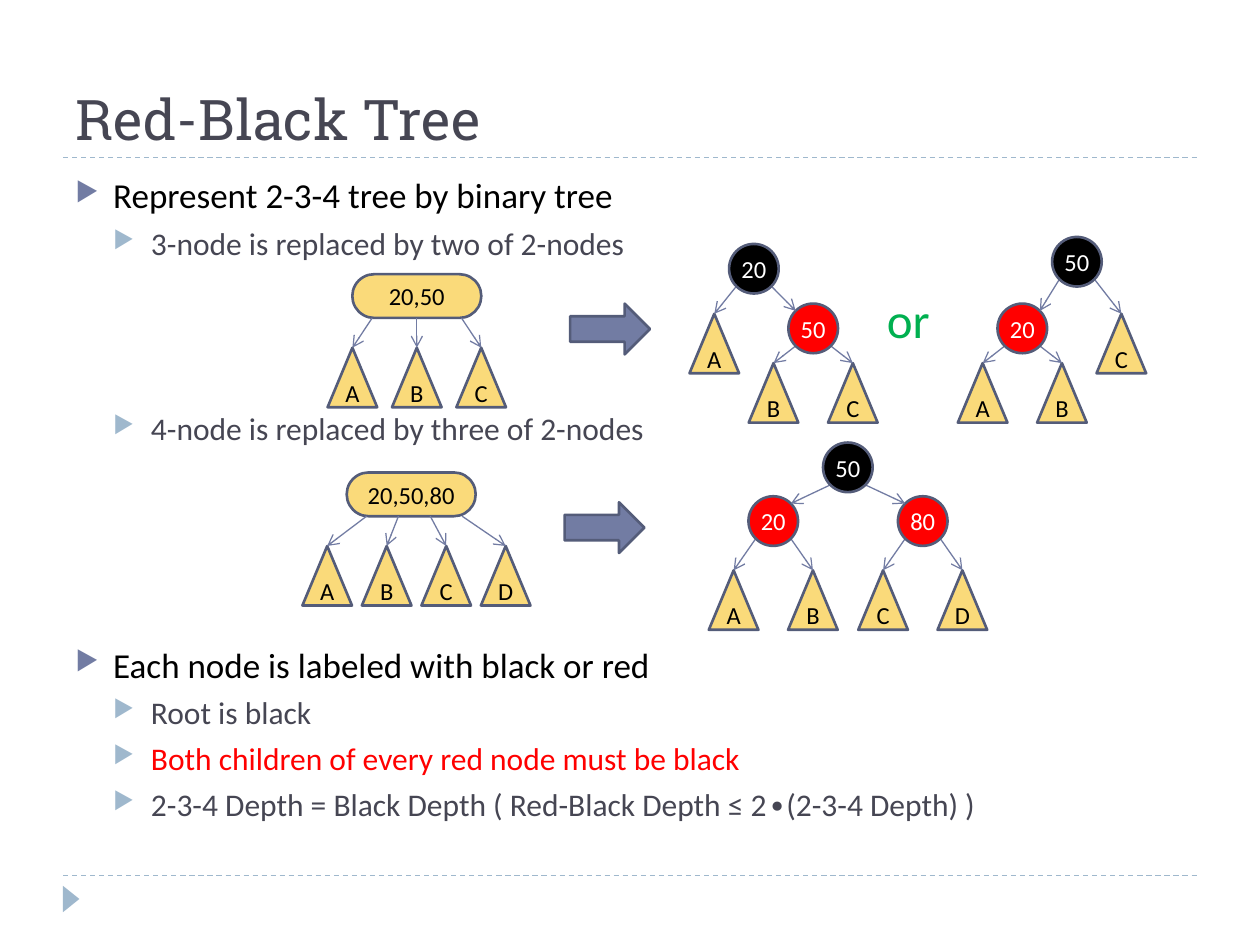
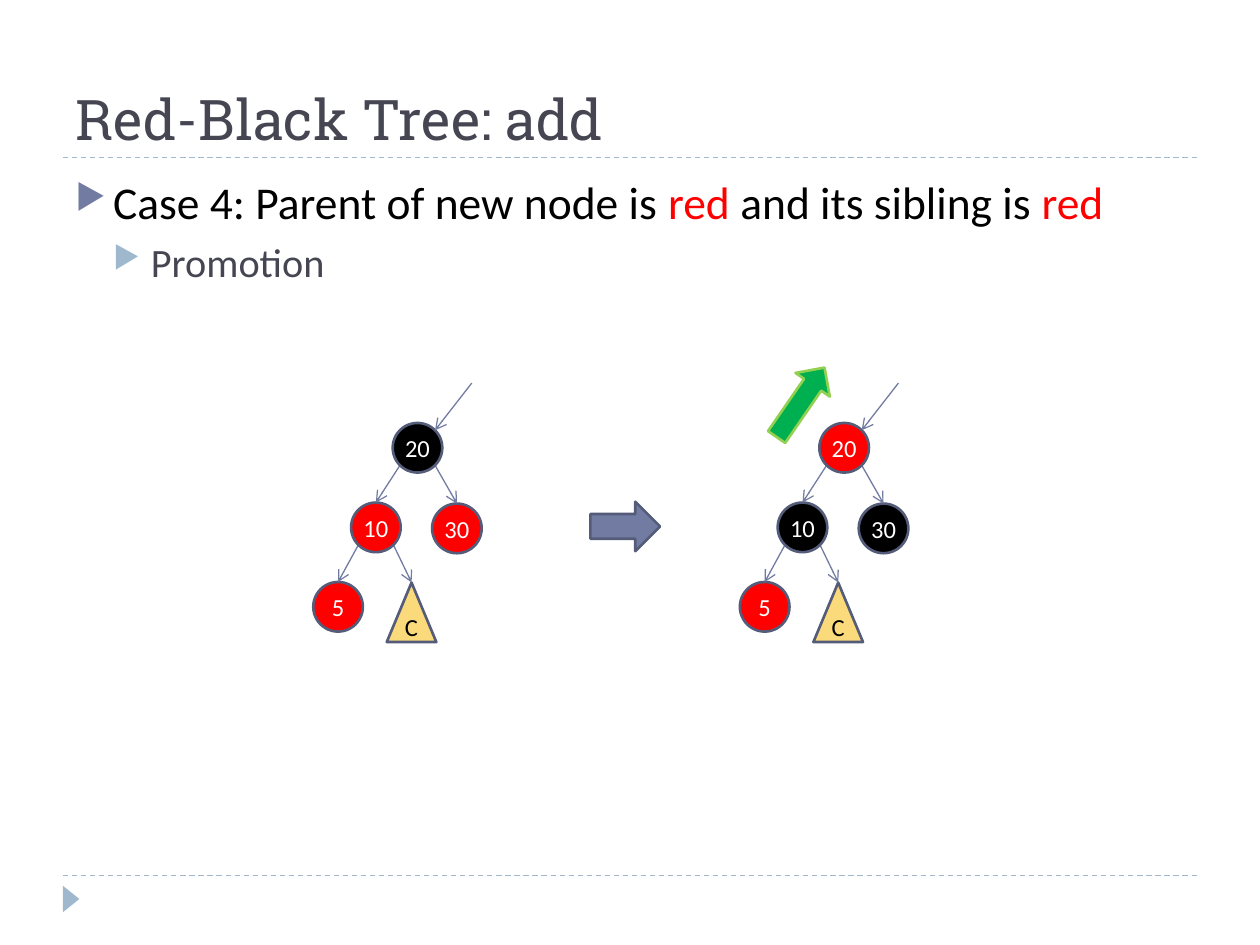
from lxml.etree import SubElement
from pptx import Presentation
from pptx.dml.color import RGBColor
from pptx.enum.dml import MSO_LINE
from pptx.enum.shapes import MSO_CONNECTOR, MSO_SHAPE
from pptx.enum.text import MSO_ANCHOR, PP_ALIGN
from pptx.oxml.ns import qn
from pptx.util import Pt

# Shared look
BLACK, WHITE, RED, GREEN = "000000", "FFFFFF", "FF0000", "00B050"
INK, SLATE, EDGE, PALE, GOLD = "464653", "727CA3", "545C79", "9FB8CD", "FADA7A"
LIME = "92D050"
BODY, HEAD = "Calibri", "Roboto Slab"
SIZE = 28.35          # width of circles and triangles
TALL = 34             # height of triangles
PILL = (73.7, 25)
LEVELS = [            # bullet levels: indent, bullet colour, text colour, gap
    dict(left=21.6, mark=SLATE, ink=BLACK, gap=6),
    dict(left=43.2, mark=PALE, ink=INK, gap=4.6),
]


def hue(code):
    return RGBColor.from_string(code)


def apply(item, values):
    for name, value in values.items():
        setattr(item, name, value)


# Text
def add_run(para, text, size, color, face=BODY):
    run = para.add_run()
    run.text = text
    apply(run.font, dict(size=Pt(size), name=face))
    run.font.color.rgb = hue(color)


def add_text(slide, box, **frame):
    text = slide.shapes.add_textbox(*map(Pt, box)).text_frame
    apply(text, dict(word_wrap=True) | frame)
    return text


def add_mark(para, level):
    props = para._p.get_or_add_pPr()
    left = Pt(level["left"])
    props.set("marL", str(left))
    props.set("indent", str(-Pt(21.6)))
    paint = SubElement(props, qn("a:buClr"))
    SubElement(paint, qn("a:srgbClr"), val=level["mark"])
    SubElement(props, qn("a:buSzPct"), val="76000")
    SubElement(props, qn("a:buChar"), char="▶")


def add_list(slide, rows):
    """Each row: level, size, gap before (None for the usual), runs."""
    text = add_text(slide, (36, 95.8, 648, 388.8))
    for i, (depth, size, gap, runs) in enumerate(rows):
        para = text.add_paragraph() if i else text.paragraphs[0]
        level = LEVELS[depth]
        para.space_before = Pt(gap or level["gap"])
        add_mark(para, level)
        for words, color in runs:
            add_run(para, words, size, color or level["ink"])


# Shapes and lines
def add_form(slide, kind, box, fill, edge=EDGE, turn=0):
    form = slide.shapes.add_shape(kind, *map(Pt, box))
    form.shadow.inherit = False
    form.rotation = turn
    form.fill.solid()
    form.fill.fore_color.rgb = hue(fill)
    if edge:
        form.line.color.rgb = hue(edge)
        form.line.width = Pt(1.5)
    else:
        form.line.fill.background()
    return form


def add_label(form, text, color, **frame):
    body = form.text_frame
    apply(body, dict(vertical_anchor=MSO_ANCHOR.MIDDLE) | frame)
    para = body.paragraphs[0]
    para.alignment = PP_ALIGN.CENTER
    add_run(para, text, 14, color)


def add_line(slide, start, end, color=SLATE):
    line = slide.shapes.add_connector(
        MSO_CONNECTOR.STRAIGHT, *map(Pt, (*start, *end)))
    line.line.color.rgb = hue(color)
    line.line.width = Pt(0.75)
    SubElement(line._element.spPr, qn("a:effectLst"))
    return line


def add_link(slide, start, end):
    link = add_line(slide, start, end)
    SubElement(link.line._get_or_add_ln(), qn("a:tailEnd"), type="arrow")
    return link


def add_leaf(slide, label, mid, top):
    leaf = add_form(slide, MSO_SHAPE.ISOSCELES_TRIANGLE,
                    (mid - SIZE / 2, top, SIZE, TALL), GOLD)
    add_label(leaf, label, BLACK)
    return leaf


def add_ball(slide, label, mid, top, fill):
    ball = add_form(slide, MSO_SHAPE.OVAL,
                    (mid - SIZE / 2, top, SIZE, SIZE), fill)
    add_label(ball, label, WHITE, margin_left=0, margin_right=0,
              margin_top=0, margin_bottom=0)
    return ball


# Trees
def rim(mid, top, side, drop):
    """Point on a circle at 45 degrees: side -1 left, drop -1 upper."""
    reach = SIZE / 2 * 0.707
    return mid + side * reach, top + SIZE / 2 + drop * reach


def add_tree(slide, node, mid, top, inward):
    """Node: label, fill (None for a leaf), kids as (dx, dy, node)."""
    label, fill, kids = node
    if fill is None:
        return add_leaf(slide, label, mid, top)
    for dx, dy, kid in kids:
        x, y, side = mid + dx, top + dy, 1 if dx > 0 else -1
        child = add_tree(slide, kid, x, y, inward)
        start = rim(mid, top, side, 1)
        if inward and kid[1]:
            add_link(slide, start, rim(x, y, -side, -1))
        else:
            add_link(slide, start, (x, y)).end_connect(child, 0)
    return add_ball(slide, label, mid, top, fill)


def leaf(label):
    return label, None, []


def pair(label, fill, left, right, drop):
    return label, fill, [(-22.65, drop, leaf(left)), (22.65, drop, leaf(right))]


def add_wide(slide, label, mid, top, names, first, step, port, shift=0):
    """Multi-key node with a row of leaves; port is the gap of link starts."""
    wide, high = PILL
    pill = add_form(slide, MSO_SHAPE.ROUNDED_RECTANGLE,
                    (mid - wide / 2, top, wide, high), GOLD)
    pill.adjustments[0] = 0.5
    add_label(pill, label, BLACK)
    for i, name in enumerate(names):
        x = first + i * step
        child = add_leaf(slide, name, x, top + 42)
        start = mid + shift + (i - (len(names) - 1) / 2) * port
        link = add_link(slide, (start, top + high), (x, top + 42))
        if start == mid:
            link.begin_connect(pill, 2)
        link.end_connect(child, 0)


def add_arrow(slide, box, fill=SLATE, edge=EDGE, turn=0):
    add_form(slide, MSO_SHAPE.RIGHT_ARROW, box, fill, edge, turn)


# Slides
def add_page(deck, title):
    slide = deck.slides.add_slide(deck.slide_layouts[6])
    for y in (500.4, 90):
        rule = add_line(slide, (36, y), (684, y), PALE)
        rule.line.dash_style = MSO_LINE.DASH
    add_form(slide, MSO_SHAPE.ISOSCELES_TRIANGLE,
             (33.1, 509, 15.1, 9.4), PALE, None, 90)
    text = add_text(slide, (36, 12.2, 648, 77.8),
                    vertical_anchor=MSO_ANCHOR.BOTTOM)
    add_run(text.paragraphs[0], title, 32, INK, HEAD)
    return slide


def add_rules(deck):
    slide = add_page(deck, "Red-Black Tree")
    add_list(slide, [
        (0, 20, None, [("Represent 2-3-4 tree by binary tree", None)]),
        (1, 18, None, [("3-node is replaced by two of 2-nodes", None)]),
        (1, 18, 84.3, [("4-node is replaced by three of 2-nodes", None)]),
        (0, 20, 112, [("Each node is labeled with black or red", None)]),
        (1, 18, None, [("Root is black", None)]),
        (1, 18, None, [("Both children of every red node must be black", RED)]),
        (1, 18, None, [("2-3-4 Depth = Black Depth ( Red-Black Depth ≤ "
                        "2∙(2-3-4 Depth) )", None)]),
    ])
    # 3-node and its two forms
    add_wide(slide, "20,50", 238.2, 156.7, "ABC", 201.4, 36.8, 25.5)
    add_arrow(slide, (325.8, 173.5, 45.6, 29))
    first = ("20", BLACK, [(-22.6, 39.9, leaf("A")),
                           (33.9, 34.1, pair("50", RED, "B", "C", 34))])
    other = ("50", BLACK, [(-31.2, 38.1, pair("20", RED, "A", "B", 34)),
                           (25.4, 43.9, leaf("C"))])
    add_tree(slide, first, 430.8, 139.4, True)
    add_tree(slide, other, 615.4, 135.4, True)
    text = add_text(slide, (499.7, 162, 41.8, 41), word_wrap=False)
    add_run(text.paragraphs[0], "or", 28, GREEN)
    # 4-node and its form
    add_wide(slide, "20,50,80", 235, 270, "ABCD", 187, 34, 18.2, 1.8)
    add_arrow(slide, (322.6, 287, 45.6, 29))
    full = ("50", BLACK, [(-42.6, 30.7, pair("20", RED, "A", "B", 42.3)),
                          (42.8, 30.7, pair("80", RED, "C", "D", 42.3))])
    add_tree(slide, full, 484.5, 252.9, True)


def add_case(deck):
    slide = add_page(deck, "Red-Black Tree: add")
    add_list(slide, [
        (0, 26, None, [("Case 4: Parent of new node is ", None), ("red", RED),
                       (" and its sibling is ", None), ("red", RED)]),
        (1, 23, 5, [("Promotion", None)]),
    ])
    # Before and after: root and kids swap colours
    for mid, root, kid in ((238.6, BLACK, RED), (482.4, RED, BLACK)):
        ten = ("10", kid, [(-21.6, 45.4, ("5", RED, [])),
                           (20.4, 45.7, leaf("C"))])
        tree = ("20", root, [(-23.8, 45.5, ten),
                             (22.5, 46.1, ("30", kid, []))])
        add_tree(slide, tree, mid, 241.7, False)
        add_link(slide, (mid + 31, 218.9), rim(mid, 241.7, 1, -1))
    add_arrow(slide, (337.4, 286.7, 39.8, 28.3))
    add_arrow(slide, (433.4, 218, 48.2, 23.8), GREEN, LIME, 304.6)


def main():
    deck = Presentation()
    apply(deck, dict(slide_width=Pt(720), slide_height=Pt(540)))
    add_rules(deck)
    add_case(deck)
    deck.save("out.pptx")


if __name__ == "__main__":
    main()
